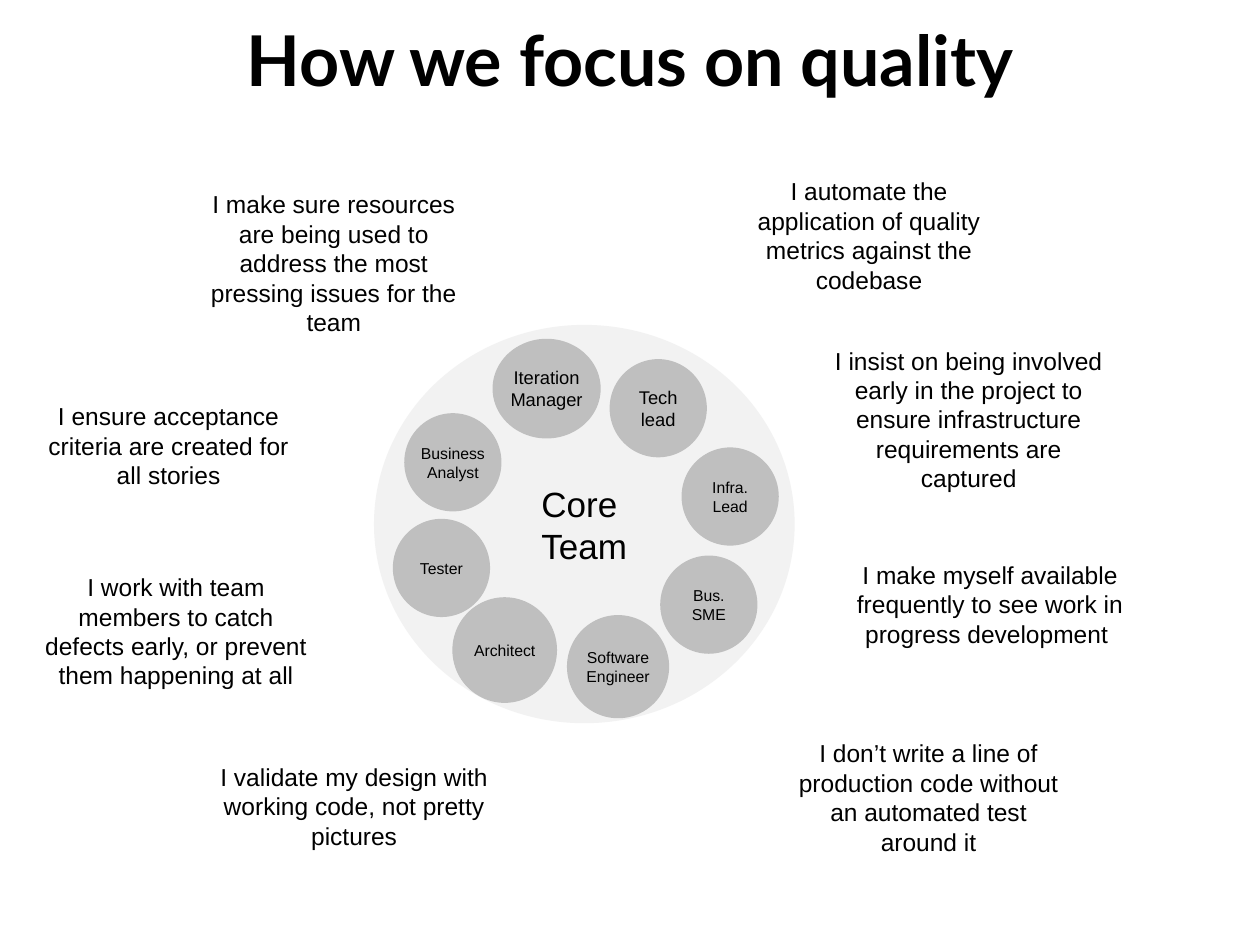
from dataclasses import dataclass

from pptx import Presentation
from pptx import util as u
from pptx.dml.color import RGBColor
from pptx.enum import shapes, text


@dataclass(frozen=True)
class Theme:
    """Hold the colours, fonts and type sizes of the slide."""

    ink: str = "000000"
    paper: str = "FFFFFF"
    team: str = "F2F2F2"
    role: str = "BFBFBF"
    heading_font: str = "Lato"
    body_font: str = "Arial"
    title: float = 40
    core: float = 20
    promise: float = 14
    role_large: float = 10.5
    role_small: float = 9


class SlideBuilder:
    """Draw styled elements on the current slide."""

    def __init__(self, slide, theme):
        """Keep the slide and its theme."""
        self.slide = slide
        self.theme = theme

    def label(self, shape, wording, size, font_name=None, bold=False, before=0, **frame_format):
        """Fill a shape with centred text."""
        frame = shape.text_frame
        frame.text = wording
        frame_format = {"word_wrap": True, "vertical_anchor": text.MSO_ANCHOR.MIDDLE, **frame_format}
        for name, value in frame_format.items():
            setattr(frame, name, value)
        font_format = {"name": font_name or self.theme.body_font, "size": u.Pt(size), "bold": bold}
        for paragraph in frame.paragraphs:
            paragraph.alignment = text.PP_ALIGN.CENTER
            paragraph.space_before = u.Pt(before)
            for run in paragraph.runs:
                for name, value in font_format.items():
                    setattr(run.font, name, value)
                run.font.color.rgb = RGBColor.from_string(self.theme.ink)

    def fill(self, shape, color):
        """Give a shape a flat fill without shadow."""
        shape.shadow.inherit = False
        shape.fill.solid()
        shape.fill.fore_color.rgb = RGBColor.from_string(color)

    def title(self, wording, *box):
        """Add the slide title."""
        shape = self.slide.shapes.add_textbox(*map(u.Cm, box))
        self.label(shape, wording, self.theme.title, self.theme.heading_font, bold=True)

    def callout(self, wording, left, top, pointer):
        """Add a white callout that points at a role."""
        box = map(u.Cm, (left, top, 5.94, 3.18))
        shape = self.slide.shapes.add_shape(shapes.MSO_SHAPE.RECTANGULAR_CALLOUT, *box)
        for index, value in enumerate(pointer):
            shape.adjustments[index] = value
        self.fill(shape, self.theme.paper)
        shape.line.color.rgb = RGBColor.from_string(self.theme.paper)
        shape.line.width = u.Pt(2)
        self.label(shape, wording, self.theme.promise, before=2.8)

    def group(self):
        """Add an empty group."""
        return self.slide.shapes.add_group_shape()

    def circle(self, group, wording, box, color, size, **frame_format):
        """Add a labelled ellipse to a group."""
        shape = group.shapes.add_shape(shapes.MSO_SHAPE.OVAL, *map(u.Cm, box))
        self.fill(shape, color)
        shape.line.fill.background()
        self.label(shape, wording, size, **frame_format)


PROMISES = [
    ("I automate the application of quality metrics against the codebase", 14.55, 3.15, (-0.48, 0.78)),
    ("I insist on being involved early in the project to ensure infrastructure requirements are captured",
     16.56, 6.86, (-0.62, 0.45)),
    ("I make myself available frequently to see work in progress development ", 16.99, 10.59, (-0.75, 0.07)),
    ("I don’t write a line of production code without an automated test around it",
     15.75, 14.48, (-0.95, -0.47)),
    ("I validate my design with working code, not pretty pictures", 4.17, 14.66, (0.38, -0.74)),
    ("I work with team members to catch defects early, or prevent them happening at all",
     0.58, 11.13, (0.76, -0.33)),
    ("I ensure acceptance criteria are created for all stories", 0.43, 7.39, (0.65, 0.04)),
    ("I make sure resources are being used to address the most pressing issues for the team",
     3.76, 3.71, (0.68, 0.39)),
]
ROLE_SIZE = (1.96, 1.98)
LARGE_ROLES = [
    ("Iteration Manager", (9.93, 6.83, 2.18, 2.01)),
    ("Tech\nlead", (12.29, 7.24, *ROLE_SIZE)),
]
SMALL_ROLES = [
    ("Infra. Lead", (13.74, 9.02, *ROLE_SIZE)),
    ("Bus. SME", (13.31, 11.2, *ROLE_SIZE)),
    ("Software\nEngineer", (11.43, 12.4, 2.06, 2.08)),
    ("Architect", (9.12, 12.04, 2.11, 2.13)),
    ("Tester", (7.92, 10.46, *ROLE_SIZE)),
    ("Business Analyst", (8.15, 8.33, *ROLE_SIZE)),
]


def main():
    """Build and save the slide."""
    presentation = Presentation()
    presentation.slide_width, presentation.slide_height = u.Cm(25.4), u.Cm(19.05)
    theme = Theme()
    builder = SlideBuilder(presentation.slides.add_slide(presentation.slide_layouts[6]), theme)
    builder.title("How we focus on quality", 1.02, 0, 23.37, 2.34)
    for promise in PROMISES:
        builder.callout(*promise)
    team = builder.group()
    builder.circle(team, "Core \nTeam", (7.54, 6.55, 8.48, 8.03), theme.team, theme.core)
    for roles, size in ((LARGE_ROLES, theme.role_large), (SMALL_ROLES, theme.role_small)):
        for wording, box in roles:
            builder.circle(team, wording, box, theme.role, size, margin_left=0, margin_right=0)
    presentation.save("out.pptx")


if __name__ == "__main__":
    main()
